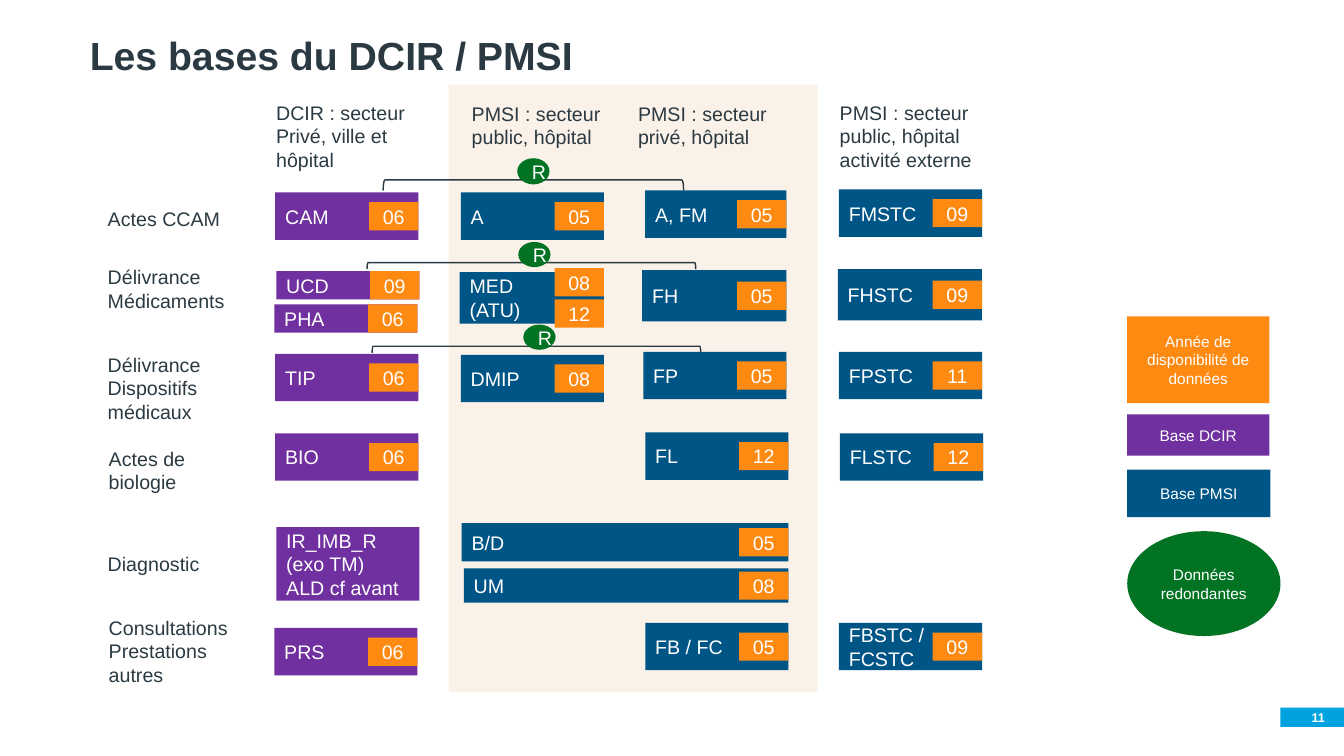
from lxml import etree
from pptx import Presentation
from pptx.dml.color import RGBColor
from pptx.enum.shapes import MSO_SHAPE
from pptx.enum.text import MSO_ANCHOR, PP_ALIGN
from pptx.oxml.ns import qn
from pptx.util import Inches, Pt

RECT, OVAL, BRACE = MSO_SHAPE.RECTANGLE, MSO_SHAPE.OVAL, MSO_SHAPE.LEFT_BRACE
LEFT, CENTER, RIGHT = PP_ALIGN.LEFT, PP_ALIGN.CENTER, PP_ALIGN.RIGHT
TOP, MIDDLE, BOTTOM = MSO_ANCHOR.TOP, MSO_ANCHOR.MIDDLE, MSO_ANCHOR.BOTTOM

FONT = "Arial"
INK, WHITE = "2B3A42", "FFFFFF"
PURPLE, BLUE, ORANGE, GREEN = "7030A0", "005587", "FE8A12", "027223"
SAND, CYAN = "CB6801", "00A3E0"
BADGE_W, BADGE_H, BADGE_STEP = 0.49, 0.28, 0.31

# Column heading: text, box
HEADINGS = [
    ("DCIR : secteur Privé, ville et hôpital", (2.64, 0.95, 1.65, 0.81)),
    ("PMSI : secteur public, hôpital", (4.58, 0.96, 1.65, 0.57)),
    ("PMSI : secteur privé, hôpital", (6.23, 0.96, 1.65, 0.57)),
    ("PMSI : secteur public, hôpital activité externe", (8.23, 0.95, 1.65, 0.81)),
]
ROW_LABELS = [
    ("Actes CCAM", (0.97, 2.0, 1.65, 0.34)),
    ("Délivrance Médicaments", (0.97, 2.58, 1.65, 0.57)),
    ("Délivrance Dispositifs médicaux", (0.97, 3.45, 1.65, 0.81)),
    ("Actes de biologie", (0.98, 4.38, 1.65, 0.57)),
    ("Diagnostic", (0.97, 5.43, 1.65, 0.34)),
    ("Consultations\nPrestations autres", (0.98, 6.06, 1.65, 0.81)),
]
# Database: name, box, years of availability
DCIR = [
    ("CAM", (2.73, 1.91, 1.42, 0.47), ["06"]),
    ("UCD", (2.74, 2.69, 1.42, 0.28), ["09"]),
    ("PHA", (2.72, 3.02, 1.42, 0.28), ["06"]),
    ("TIP", (2.73, 3.51, 1.42, 0.47), ["06"]),
    ("BIO", (2.73, 4.3, 1.42, 0.47), ["06"]),
    ("IR_IMB_R (exo TM)\nALD cf avant", (2.74, 5.23, 1.42, 0.73), []),
    ("PRS", (2.72, 6.23, 1.42, 0.47), ["06"]),
]
PMSI = [
    ("A", (4.57, 1.91, 1.42, 0.47), ["05"]),
    ("MED\n(ATU)", (4.56, 2.7, 1.43, 0.51), ["08", "12"]),
    ("DMIP", (4.57, 3.52, 1.42, 0.47), ["08"]),
    ("B/D", (4.58, 5.19, 3.24, 0.38), ["05"]),
    ("UM", (4.6, 5.64, 3.22, 0.34), ["08"]),
    ("A, FM", (6.4, 1.89, 1.4, 0.47), ["05"]),
    ("FH", (6.37, 2.68, 1.43, 0.51), ["05"]),
    ("FP", (6.38, 3.49, 1.42, 0.47), ["05"]),
    ("FL", (6.4, 4.29, 1.42, 0.47), ["12"]),
    ("FB / FC", (6.4, 6.18, 1.42, 0.47), ["05"]),
    ("FMSTC", (8.32, 1.88, 1.42, 0.47), ["09"]),
    ("FHSTC", (8.31, 2.67, 1.43, 0.51), ["09"]),
    ("FPSTC", (8.32, 3.49, 1.42, 0.47), ["11"]),
    ("FLSTC", (8.33, 4.3, 1.42, 0.47), ["12"]),
    ("FBSTC /\nFCSTC", (8.32, 6.18, 1.42, 0.47), ["09"]),
]
# Redundant data: bracket box (width across the columns), R marker box
REDUNDANT = [
    ((3.8, 1.68, 2.98, 0.21), (5.13, 1.57, 0.32, 0.26)),
    ((3.64, 2.54, 3.26, 0.13), (5.14, 2.4, 0.32, 0.25)),
    ((3.69, 3.37, 3.26, 0.13), (5.19, 3.22, 0.32, 0.25)),
]
LEGEND = [
    ("Année de disponibilité de données", RECT, ORANGE, (0, 0, 1.41, 0.86)),
    ("Base DCIR", RECT, PURPLE, (0, 0.97, 1.41, 0.41)),
    ("Base PMSI", RECT, BLUE, (0, 1.52, 1.42, 0.47)),
    ("Données redondantes", OVAL, GREEN, (0, 2.13, 1.52, 1.04)),
]


def rgb(value):
    return RGBColor.from_string(value)


def write(tf, text, size=14, color=INK, bold=False, align=LEFT, anchor=TOP, spacing=None):
    tf.word_wrap = True
    tf.vertical_anchor = anchor
    for i, line in enumerate(text.split("\n")):
        p = tf.paragraphs[0] if i == 0 else tf.add_paragraph()
        p.alignment = align
        if spacing:
            p.line_spacing = spacing
        r = p.add_run()
        r.text = line
        r.font.name, r.font.size, r.font.bold = FONT, Pt(size), bold
        r.font.color.rgb = rgb(color)


def add_label(s, text, box, **fmt):
    tf = s.shapes.add_textbox(*map(Inches, box)).text_frame
    write(tf, text, **fmt)
    return tf


def add_block(s, box, fill, text="", kind=RECT, **fmt):
    sp = s.shapes.add_shape(kind, *map(Inches, box))
    sp.shadow.inherit = False
    sp.fill.solid()
    sp.fill.fore_color.rgb = rgb(fill)
    sp.line.fill.background()
    if text:
        write(sp.text_frame, text, color=WHITE, anchor=MIDDLE, **fmt)
    return sp


def add_panel(s, box):
    sp = add_block(s, box, SAND)
    color = sp.fill._xPr.find(qn("a:solidFill"))[0]
    etree.SubElement(color, qn("a:alpha")).set("val", "9000")


def add_title(s, text, box):
    sp = s.shapes.title
    sp.left, sp.top, sp.width, sp.height = map(Inches, box)
    write(sp.text_frame, text, size=28, bold=True, anchor=BOTTOM, spacing=0.9)


def add_database(s, box, name, years, fill):
    """Named block with its year badges stacked at the right edge."""
    x, y, w, h = box
    add_block(s, box, fill, name)
    stack_h = BADGE_H + BADGE_STEP * (len(years) - 1)
    top = y + (h - stack_h) / 2
    for i, year in enumerate(years):
        badge = (x + w - BADGE_W, top + i * BADGE_STEP, BADGE_W, BADGE_H)
        add_block(s, badge, ORANGE, year, align=CENTER)


def add_redundancy(s, box, marker):
    """Bracket opening downwards, with the R marker over its tip."""
    x, y, w, h = box
    upright = (x + (w - h) / 2, y + (h - w) / 2, h, w)
    sp = s.shapes.add_shape(BRACE, *map(Inches, upright))
    sp.rotation = 90
    sp.shadow.inherit = False
    sp.fill.background()
    sp.line.color.rgb = rgb(INK)
    sp.line.width = Pt(1)
    add_block(s, marker, GREEN, "R", kind=OVAL, align=CENTER)


def add_legend(s, x, y):
    for text, kind, fill, (dx, dy, w, h) in LEGEND:
        add_block(s, (x + dx, y + dy, w, h), fill, text, kind=kind, size=11, align=CENTER)


def add_page_number(s, box, number):
    x, y, w, h = box
    add_block(s, box, CYAN)
    tf = add_label(s, number, (x, y, w - 0.19, h), size=9, color=WHITE,
                   bold=True, align=RIGHT, anchor=MIDDLE)
    tf.margin_left = tf.margin_right = tf.margin_top = tf.margin_bottom = 0


def main():
    prs = Presentation()
    prs.slide_width, prs.slide_height = Inches(13.33), Inches(7.5)
    s = prs.slides.add_slide(prs.slide_layouts[5])

    # Title and hospital panel
    add_panel(s, (4.45, 0.84, 3.66, 6.03))
    add_title(s, "Les bases du DCIR / PMSI", (0.79, 0.07, 12.17, 0.76))

    # Column headings and row labels
    for text, box in HEADINGS + ROW_LABELS:
        add_label(s, text, box)

    # Databases
    for fill, databases in ((PURPLE, DCIR), (BLUE, PMSI)):
        for name, box, years in databases:
            add_database(s, box, name, years, fill)

    # Redundant data, legend and page number
    for box, marker in REDUNDANT:
        add_redundancy(s, box, marker)
    add_legend(s, 11.18, 3.14)
    add_page_number(s, (12.7, 7.02, 0.63, 0.19), "11")
    prs.save("out.pptx")


if __name__ == "__main__":
    main()
